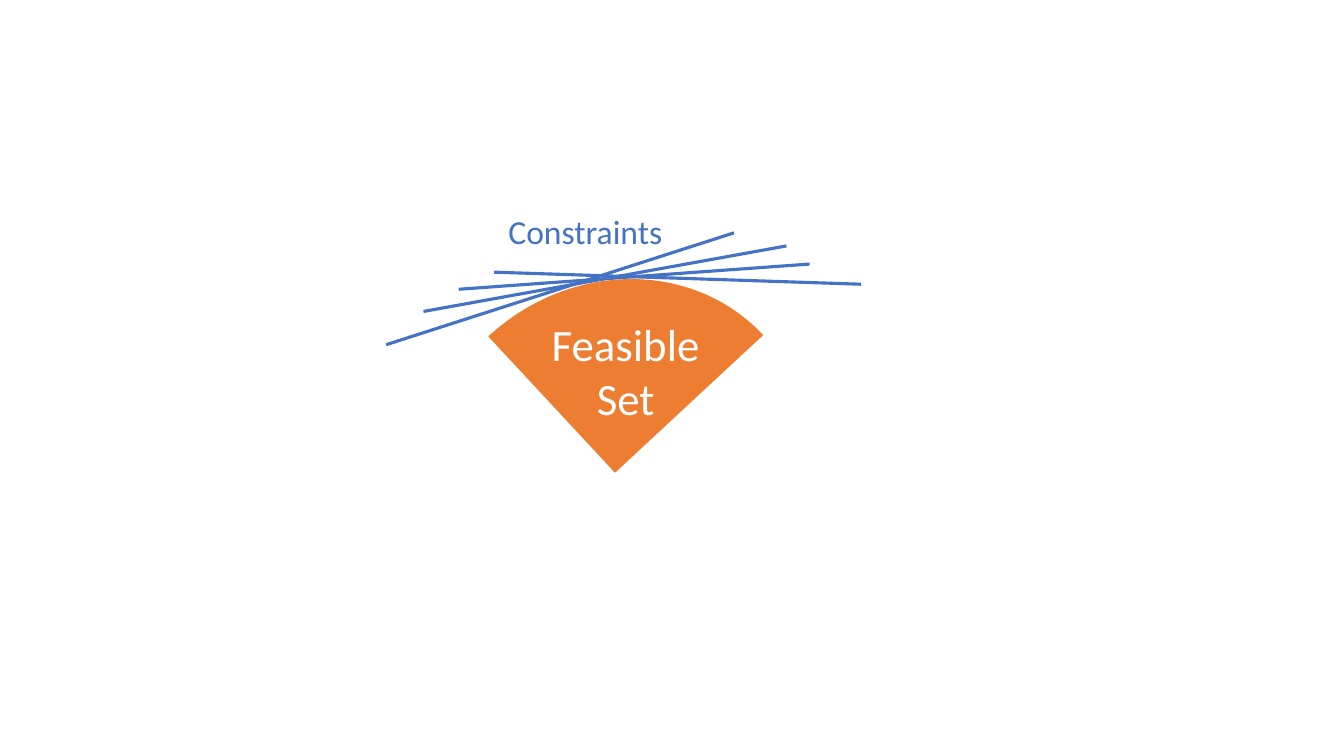
from dataclasses import dataclass

from lxml import etree
from pptx import Presentation
from pptx.dml.color import RGBColor
from pptx.enum.shapes import MSO_CONNECTOR, MSO_SHAPE
from pptx.enum.text import MSO_AUTO_SIZE, PP_ALIGN
from pptx.oxml.ns import qn
from pptx.util import Inches, Pt

STRAIGHT = MSO_CONNECTOR.STRAIGHT
ARC = MSO_SHAPE.ARC
FIT_SHAPE = MSO_AUTO_SIZE.SHAPE_TO_FIT_TEXT
CENTER = PP_ALIGN.CENTER


@dataclass(frozen=True)
class Theme:
    font: str = "Calibri"
    constraint: RGBColor = RGBColor(0x44, 0x72, 0xC4)
    feasible: RGBColor = RGBColor(0xED, 0x7D, 0x31)
    white: RGBColor = RGBColor(0xFF, 0xFF, 0xFF)
    label_size: int = 24
    set_size: int = 32
    line_width: float = 2.25


class Diagram:
    def __init__(self, slide, theme):
        self.s = slide
        self.theme = theme

    def style_line(self, line, color):
        line.color.rgb = color
        line.width = Pt(self.theme.line_width)

    def line(self, start, end, color):
        points = [Inches(v) for v in (*start, *end)]
        c = self.s.shapes.add_connector(STRAIGHT, *points)
        self.style_line(c.line, color)
        etree.SubElement(c._element.spPr, qn("a:effectLst"))

    def sector(self, box, rotation, color):
        sp = self.s.shapes.add_shape(ARC, *[Inches(v) for v in box])
        sp.rotation = rotation
        sp.shadow.inherit = False
        sp.fill.solid()
        sp.fill.fore_color.rgb = color
        self.style_line(sp.line, color)

    def text(self, box, text, size, color):
        tf = self.s.shapes.add_textbox(*[Inches(v) for v in box]).text_frame
        tf.word_wrap = True
        tf.auto_size = FIT_SHAPE
        tf.text = text
        p = tf.paragraphs[0]
        p.alignment = CENTER
        font = p.runs[0].font
        font.name = self.theme.font
        font.size = Pt(size)
        font.color.rgb = color


CONSTRAINTS = [
    ((3.83, 3.42), (7.28, 2.31)),
    ((4.2, 3.09), (7.8, 2.44)),
    ((4.55, 2.87), (8.03, 2.62)),
    ((4.9, 2.7), (8.54, 2.82)),
]

prs = Presentation()
prs.slide_width = Inches(13.33)
prs.slide_height = Inches(7.5)
theme = Theme()
diagram = Diagram(prs.slides.add_slide(prs.slide_layouts[6]), theme)

for start, end in CONSTRAINTS:
    diagram.line(start, end, theme.constraint)
diagram.text((4.89, 2.04, 1.83, 0.5), "Constraints", theme.label_size, theme.constraint)
diagram.sector((4.11, 2.86, 3.98, 3.66), 317.1, theme.feasible)
diagram.text((5.28, 3.09, 1.85, 1.18), "Feasible Set", theme.set_size, theme.white)

prs.save("out.pptx")
